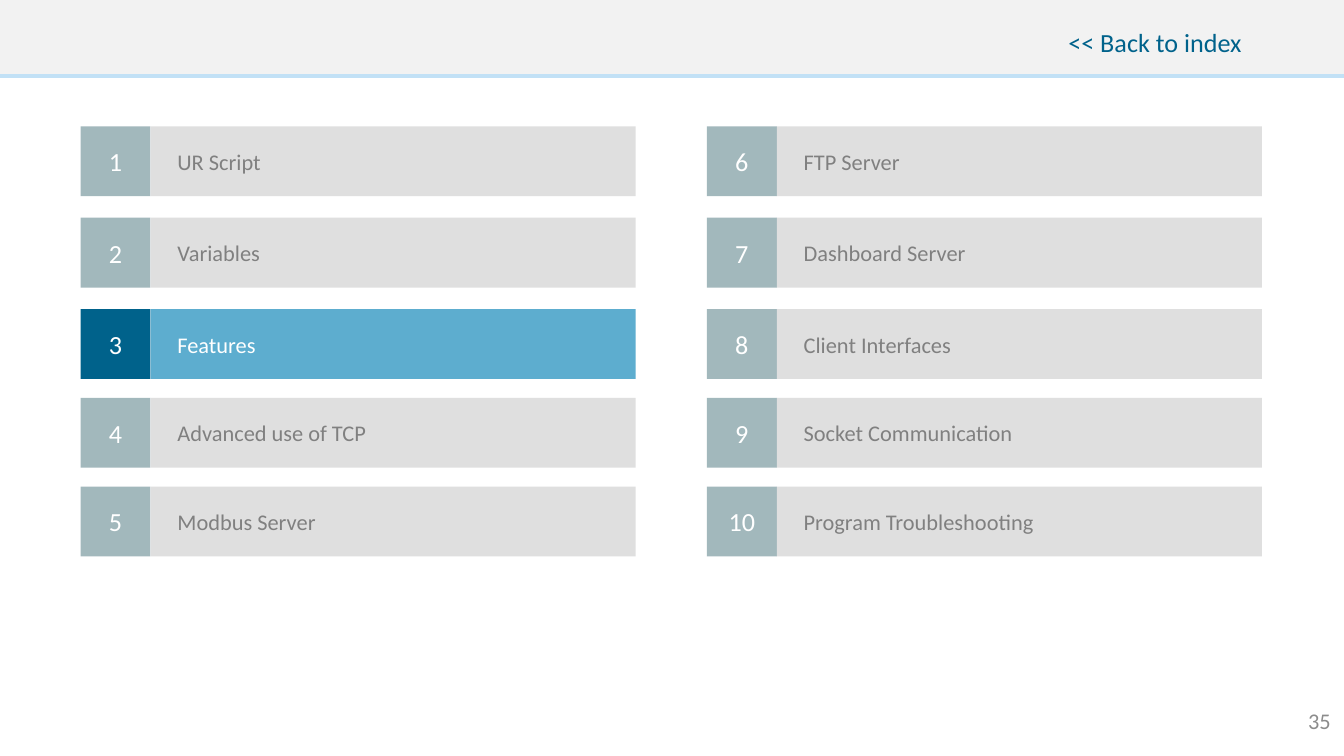
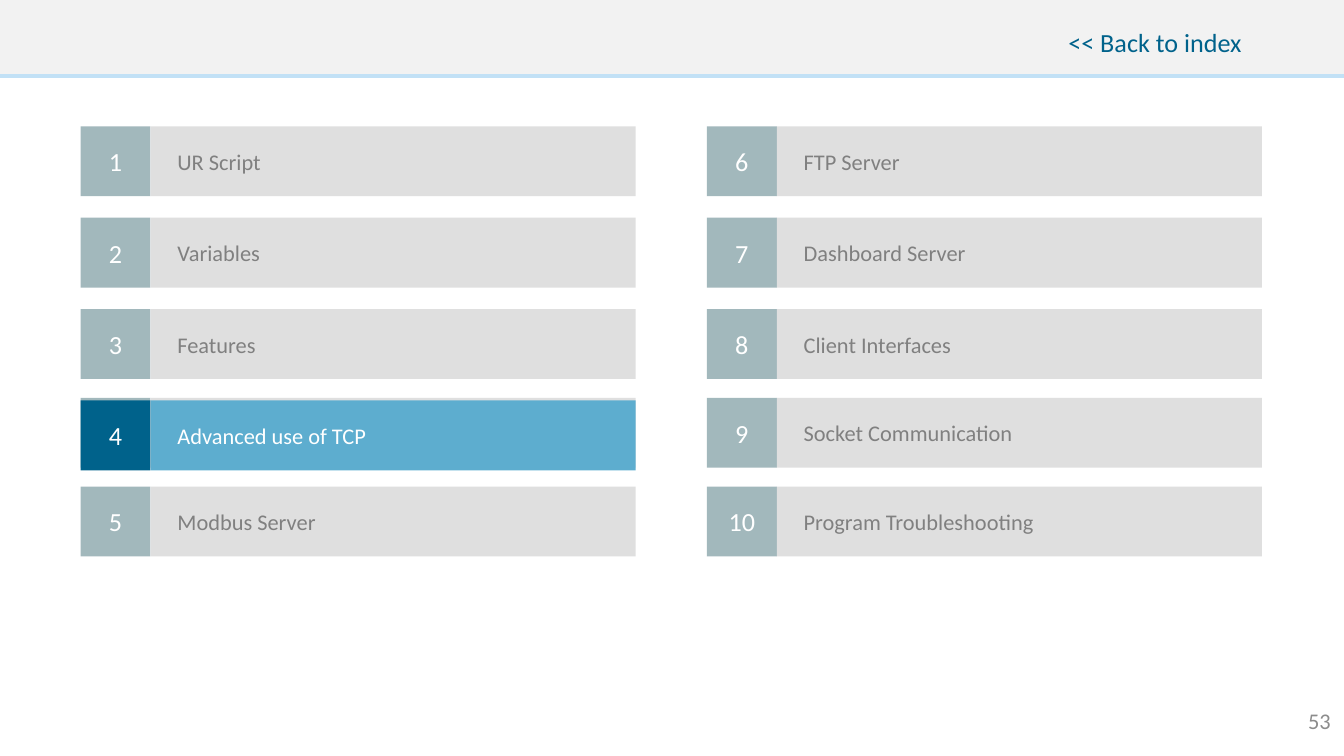
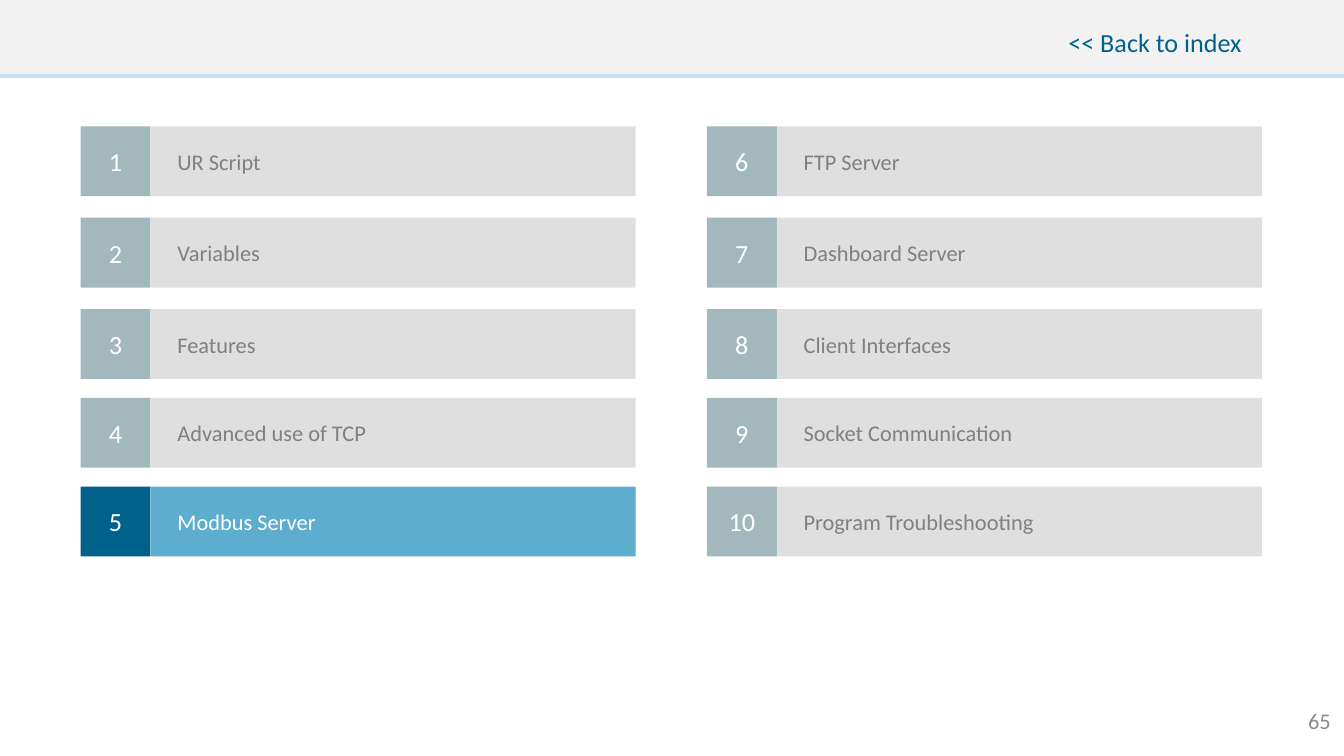
from pptx import Presentation
from pptx.dml.color import RGBColor
from pptx.enum.shapes import MSO_SHAPE
from pptx.enum.text import MSO_ANCHOR, PP_ALIGN
from pptx.util import Inches, Pt

RECTANGLE = MSO_SHAPE.RECTANGLE
LEFT, CENTER, RIGHT = PP_ALIGN.LEFT, PP_ALIGN.CENTER, PP_ALIGN.RIGHT
MIDDLE, BOTTOM = MSO_ANCHOR.MIDDLE, MSO_ANCHOR.BOTTOM

# Shared look
FONT = "Calibri"
WIDTH = 10
HEIGHT = WIDTH * 9 / 16
BAND, BAND_EDGE = "F2F2F2", "C2E1F6"
NAVY, SKY, WHITE = "00628B", "5DADCF", "FFFFFF"
SAGE, SILVER, GRAY, PALE_GRAY = "A2B8BC", "DFDFDF", "808080", "8C8C8C"

# Index grid
GRID_LEFT, COLUMN_STEP = 0.6, 4.66
ROW_TOPS = [0.94, 1.62, 2.3, 2.96, 3.62]
CELL, LABEL_WIDTH, LABEL_INDENT = 0.52, 3.61, 0.2

CHAPTERS = [
    "UR Script", "Variables", "Features", "Advanced use of TCP",
    "Modbus Server", "FTP Server", "Dashboard Server", "Client Interfaces",
    "Socket Communication", "Program Troubleshooting",
]
# Page number, active chapter, downward shift of the active row
PAGES = [(35, 3, 0), (53, 4, 0.02), (65, 5, 0)]


def color(value):
    return RGBColor.from_string(value)


def write(box, text, size, ink, align, anchor=MIDDLE, wrap=True, insets=(0, 0, 0, 0)):
    frame = box.text_frame
    left, top, right, bottom = (Inches(inset) for inset in insets)
    layout = {
        "word_wrap": wrap, "vertical_anchor": anchor,
        "margin_left": left, "margin_top": top,
        "margin_right": right, "margin_bottom": bottom,
    }
    for name, value in layout.items():
        setattr(frame, name, value)
    para = frame.paragraphs[0]
    para.alignment = align
    span = para.add_run()
    span.text = text
    for name, value in {"name": FONT, "size": Pt(size)}.items():
        setattr(span.font, name, value)
    span.font.color.rgb = color(ink)


def add_block(page, place, fill):
    block = page.shapes.add_shape(RECTANGLE, *map(Inches, place))
    block.shadow.inherit = False
    block.fill.solid()
    block.fill.fore_color.rgb = color(fill)
    block.line.fill.background()
    return block


def add_header(page):
    add_block(page, (0, 0, WIDTH, 0.58), BAND_EDGE)
    add_block(page, (0, 0, WIDTH, 0.55), BAND)
    link = page.shapes.add_textbox(*map(Inches, (7.84, 0, 1.4, 0.43)))
    write(link, "<< Back to index", 14, NAVY, RIGHT, BOTTOM, wrap=False)


def add_page_number(page, number):
    box = page.shapes.add_textbox(*map(Inches, (WIDTH - 1, 5.21, 1, 0.3)))
    write(box, str(number), 12, PALE_GRAY, RIGHT, insets=(0.1, 0.05, 0.1, 0.05))


def add_chapter(page, number, active=False, shift=0):
    column, row = divmod(number - 1, len(ROW_TOPS))
    left, top = GRID_LEFT + column * COLUMN_STEP, ROW_TOPS[row] + shift
    number_fill, label_fill, ink = (NAVY, SKY, WHITE) if active else (SAGE, SILVER, GRAY)
    badge = add_block(page, (left, top, CELL, CELL), number_fill)
    write(badge, str(number), 14, WHITE, CENTER)
    label = add_block(page, (left + CELL, top, LABEL_WIDTH, CELL), label_fill)
    write(label, CHAPTERS[number - 1], 12, ink, LEFT, insets=(LABEL_INDENT, 0, 0, 0))


def add_index(page, active_chapter, shift):
    for number in range(1, len(CHAPTERS) + 1):
        # A shifted active row leaves the edge of its resting row in view
        if number != active_chapter or shift:
            add_chapter(page, number)
    add_chapter(page, active_chapter, True, shift)


def main():
    deck = Presentation()
    deck.slide_width, deck.slide_height = Inches(WIDTH), Inches(HEIGHT)
    blank = deck.slide_layouts[6]
    for number, active_chapter, shift in PAGES:
        page = deck.slides.add_slide(blank)
        add_header(page)
        add_index(page, active_chapter, shift)
        add_page_number(page, number)
    deck.save("out.pptx")


if __name__ == "__main__":
    main()
